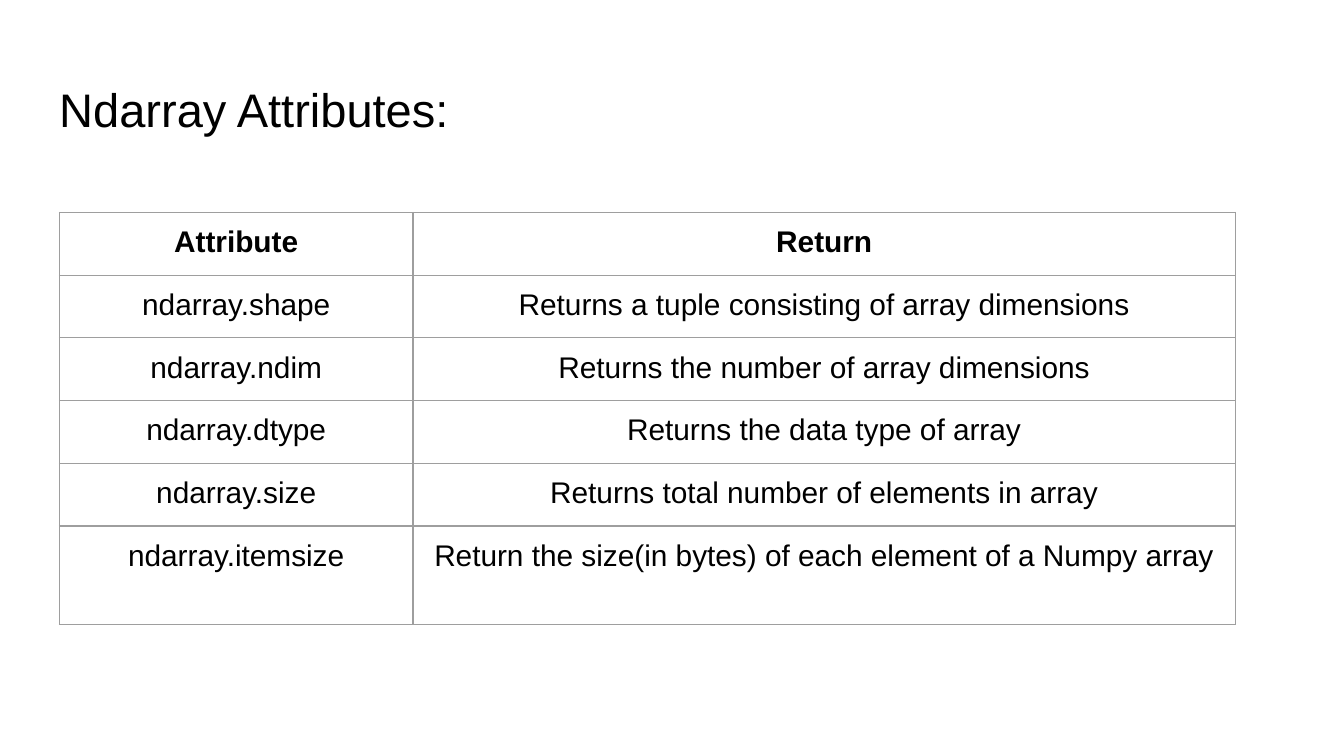
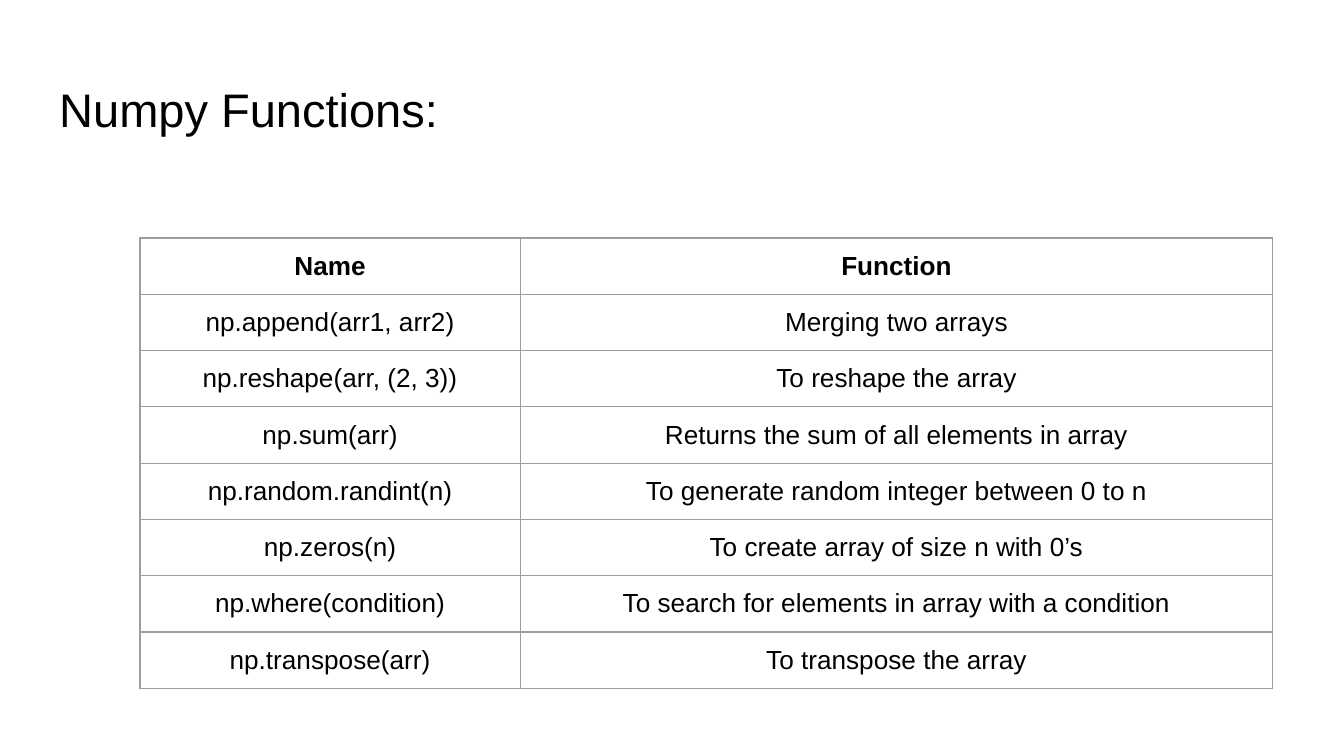
from dataclasses import dataclass

from lxml.etree import SubElement
from pptx import Presentation
from pptx.dml.color import RGBColor
from pptx.enum.text import MSO_ANCHOR, MSO_AUTO_SIZE, PP_ALIGN
from pptx.oxml.ns import qn
from pptx.util import Pt


@dataclass(frozen=True)
class Theme:
    font: str = "Arial"
    ink: str = "000000"
    paper: str = "FFFFFF"
    rule: str = "9E9E9E"
    rule_width: float = 0.75
    inset: float = 7.2
    title_size: float = 25.2
    large_size: float = 16
    small_size: float = 14


THEME = Theme()
TITLE_BOX = (24.5, 35.3, 671, 45.4)

ATTRIBUTES = [
    ("Attribute", "Return"),
    ("ndarray.shape", "Returns a tuple consisting of array dimensions"),
    ("ndarray.ndim", "Returns the number of array dimensions"),
    ("ndarray.dtype", "Returns the data type of array"),
    ("ndarray.size", "Returns total number of elements in array"),
    ("ndarray.itemsize", "Return the size(in bytes) of each element of a Numpy array"),
]

FUNCTIONS = [
    ("Name", "Function"),
    ("np.append(arr1, arr2)", "Merging two arrays"),
    ("np.reshape(arr, (2, 3))", "To reshape the array"),
    ("np.sum(arr)", "Returns the sum of all elements in array"),
    ("np.random.randint(n)", "To generate random integer between 0 to n"),
    ("np.zeros(n)", "To create array of size n with 0’s"),
    ("np.where(condition)", "To search for elements in array with a condition"),
    ("np.transpose(arr)", "To transpose the array"),
]


def write_text(frame, text, size, bold=False, align=PP_ALIGN.LEFT):
    frame.word_wrap = True
    para = frame.paragraphs[0]
    para.alignment = align
    span = para.add_run()
    span.text = text
    span.font.name = THEME.font
    span.font.size = Pt(size)
    span.font.bold = bold
    span.font.color.rgb = RGBColor.from_string(THEME.ink)


def set_insets(holder):
    holder.margin_left = holder.margin_right = Pt(THEME.inset)
    holder.margin_top = holder.margin_bottom = Pt(THEME.inset)


def add_page(deck, title):
    page = deck.slides.add_slide(deck.slide_layouts[5])
    page.background.fill.solid()
    page.background.fill.fore_color.rgb = RGBColor.from_string(THEME.paper)
    box = page.shapes.title
    box.left, box.top, box.width, box.height = map(Pt, TITLE_BOX)
    frame = box.text_frame
    frame.auto_size = MSO_AUTO_SIZE.NONE
    frame.vertical_anchor = MSO_ANCHOR.MIDDLE
    set_insets(frame)
    write_text(frame, title, THEME.title_size)
    return page


def outline_cell(cell):
    properties = cell._tc.get_or_add_tcPr()
    for side in ("a:lnL", "a:lnR", "a:lnT", "a:lnB"):
        line = SubElement(properties, qn(side), w=str(Pt(THEME.rule_width)))
        fill = SubElement(line, qn("a:solidFill"))
        SubElement(fill, qn("a:srgbClr"), val=THEME.rule)


def add_grid(page, rows, left, top, column_widths, row_heights, size):
    table = page.shapes.add_table(
        len(rows), len(column_widths), Pt(left), Pt(top),
        Pt(sum(column_widths)), Pt(sum(row_heights)),
    ).table
    table.first_row = table.horz_banding = False
    for column, width in zip(table.columns, column_widths):
        column.width = Pt(width)
    for row_index, (row, height, texts) in enumerate(zip(table.rows, row_heights, rows)):
        row.height = Pt(height)
        for cell, text in zip(row.cells, texts):
            set_insets(cell)
            outline_cell(cell)
            cell.fill.background()
            write_text(cell.text_frame, text, size,
                       bold=row_index == 0, align=PP_ALIGN.CENTER)


def main():
    deck = Presentation()
    deck.slide_width, deck.slide_height = Pt(720), Pt(405)

    page = add_page(deck, "Ndarray Attributes:")
    heights = [33.6] * (len(ATTRIBUTES) - 1) + [52.8]
    add_grid(page, ATTRIBUTES, 31.8, 113.8, (189.5, 440.5), heights, THEME.large_size)

    page = add_page(deck, "Numpy Functions:")
    heights = [30.1] * len(FUNCTIONS)
    add_grid(page, FUNCTIONS, 75, 127.5, (203.7, 403.2), heights, THEME.small_size)

    deck.save("out.pptx")


if __name__ == "__main__":
    main()
